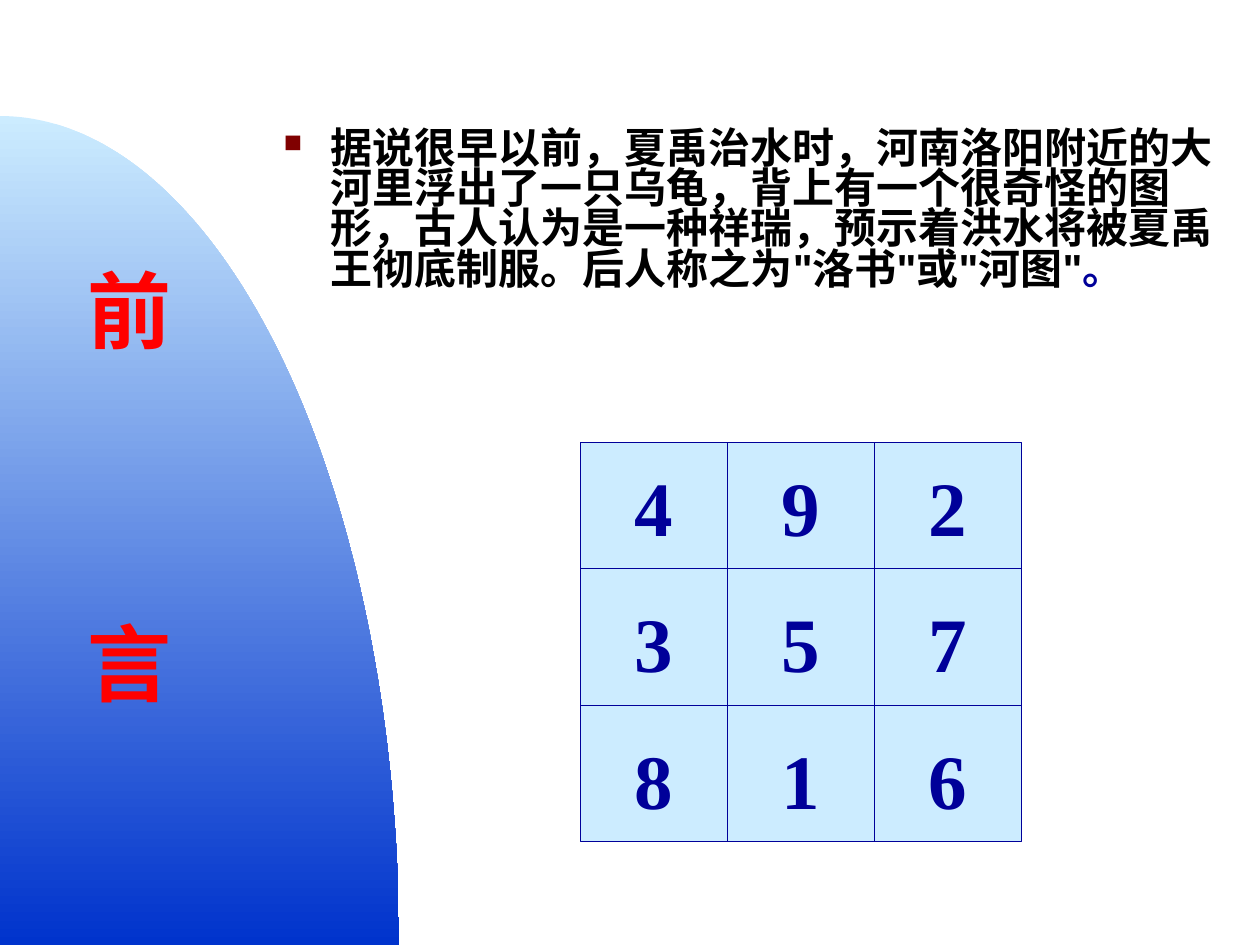
from math import cos, pi, sin

from lxml import etree
from pptx import Presentation
from pptx.dml.color import RGBColor
from pptx.enum.shapes import MSO_CONNECTOR, MSO_SHAPE
from pptx.enum.text import MSO_ANCHOR, PP_ALIGN
from pptx.oxml.ns import qn
from pptx.util import Pt

COLORS = {"sky": "CCECFF", "blue": "0033CC", "navy": "000099",
          "red": "FF0000", "black": "000000", "bullet": "800000"}
TITLE = ["前", "言"]
STORY = [("据说很早以前，夏禹治水时，河南洛阳附近的大河里浮出了一只乌龟，"
          "背上有一个很奇怪的图形，古人认为是一种祥瑞，预示着洪水将被夏禹"
          "王彻底制服。后人称之为\"洛书\"或\"河图\"", "black"),
         ("。", "navy")]
SQUARE = [[4, 9, 2], [3, 5, 7], [8, 1, 6]]

SLIDE_W, SLIDE_H = 720, 540
DOME_W, DOME_H = 228, 473.7
GRID_X, GRID_Y, GRID_W, GRID_H = 331.7, 252.8, 252, 228
COL_W = GRID_W / 3
ROW_LINES = [324.8, 403]
DIGIT_W, DIGIT_H, DIGIT_Y, DIGIT_STEP = 60, 60.5, 259, 78


def rgb(name):
    return RGBColor.from_string(COLORS[name])


def style(r, font, size, color):
    r.font.name, r.font.size, r.font.bold = font, Pt(size), True
    r.font.color.rgb = rgb(color)


def add_text(s, x, y, w, h):
    tf = s.shapes.add_textbox(Pt(x), Pt(y), Pt(w), Pt(h)).text_frame
    tf.word_wrap = True
    return tf


def add_dome(s, steps=90):
    """Quarter ellipse centred on the bottom-left corner of the slide."""
    angles = [pi / 2 * i / steps for i in range(steps + 1)]
    points = [(Pt(DOME_W * sin(a)), Pt(SLIDE_H - DOME_H * cos(a))) for a in angles]
    builder = s.shapes.build_freeform(*points[0])
    builder.add_line_segments(points[1:] + [(0, Pt(SLIDE_H))], close=True)
    sp = builder.convert_to_shape()
    sp.shadow.inherit = False
    sp.line.fill.background()
    sp.fill.gradient()
    sp.fill.gradient_angle = 270
    for stop, name, position in zip(sp.fill.gradient_stops, ("sky", "blue"), (0, 1)):
        stop.color.rgb = rgb(name)
        stop.position = position


def add_story(s):
    p = add_text(s, 155, 71.3, 565, 159).paragraphs[0]
    p.line_spacing = 0.8
    pPr = p._p.get_or_add_pPr()
    pPr.set("marL", str(Pt(27)))
    pPr.set("indent", str(Pt(-27)))
    pPr.set("hangingPunct", "0")
    color = etree.SubElement(pPr, qn("a:buClr"))
    etree.SubElement(color, qn("a:srgbClr"), val=COLORS["bullet"])
    etree.SubElement(pPr, qn("a:buSzPct"), val="60000")
    etree.SubElement(pPr, qn("a:buFont"), typeface="Wingdings", charset="2")
    etree.SubElement(pPr, qn("a:buChar"), char="n")
    for text, name in STORY:
        r = p.add_run()
        r.text = text
        style(r, "Arial", 24, name)


def add_rule(s, x1, y1, x2, y2):
    line = s.shapes.add_connector(MSO_CONNECTOR.STRAIGHT, Pt(x1), Pt(y1), Pt(x2), Pt(y2))
    line.line.color.rgb = rgb("navy")
    line.line.width = Pt(0.75)
    etree.SubElement(line._element.spPr, qn("a:effectLst"))


def add_square(s):
    sp = s.shapes.add_shape(MSO_SHAPE.RECTANGLE, Pt(GRID_X), Pt(GRID_Y), Pt(GRID_W), Pt(GRID_H))
    sp.shadow.inherit = False
    sp.fill.solid()
    sp.fill.fore_color.rgb = rgb("sky")
    sp.line.color.rgb = rgb("navy")
    sp.line.width = Pt(0.75)
    for y in ROW_LINES:
        add_rule(s, GRID_X, y, GRID_X + GRID_W, y)
    for col in (1, 2):
        x = GRID_X + col * COL_W
        add_rule(s, x, GRID_Y, x, GRID_Y + GRID_H)
    for row, digits in enumerate(SQUARE):
        for col, digit in enumerate(digits):
            x = GRID_X + (col + 0.5) * COL_W - DIGIT_W / 2
            tf = add_text(s, x, DIGIT_Y + row * DIGIT_STEP, DIGIT_W, DIGIT_H)
            tf.text = str(digit)
            p = tf.paragraphs[0]
            p.alignment = PP_ALIGN.CENTER
            style(p.runs[0], "Times New Roman", 44, "navy")


def add_title(s):
    tf = add_text(s, 43, 179.5, 63, 209.5)
    tf.vertical_anchor = MSO_ANCHOR.MIDDLE
    tf.text = "\n".join(TITLE)
    for i, p in enumerate(tf.paragraphs):
        p.line_spacing = 0.7
        if i:
            p.space_before = Pt(161.5)
        style(p.runs[0], "Arial Narrow", 48, "red")


def main():
    prs = Presentation()
    prs.slide_width, prs.slide_height = Pt(SLIDE_W), Pt(SLIDE_H)
    s = prs.slides.add_slide(prs.slide_layouts[6])
    add_dome(s)
    add_story(s)
    add_square(s)
    add_title(s)
    prs.save("out.pptx")


if __name__ == "__main__":
    main()
